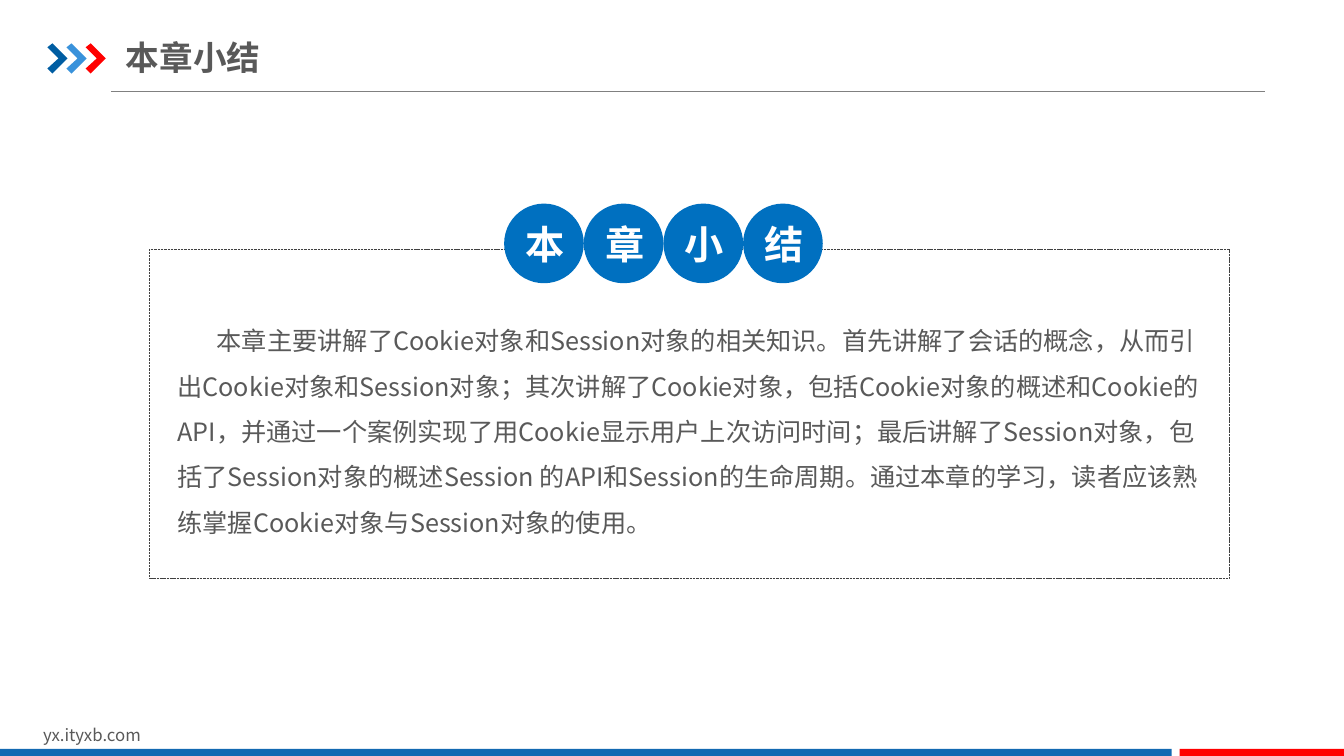
from dataclasses import dataclass

from lxml.etree import SubElement
from pptx import Presentation
from pptx.dml.color import RGBColor
from pptx.enum.dml import MSO_LINE
from pptx.enum.shapes import MSO_CONNECTOR as Connector, MSO_SHAPE as Preset
from pptx.enum.text import MSO_ANCHOR as Anchor, MSO_AUTO_SIZE as AutoSize, PP_ALIGN as Align
from pptx.oxml.ns import qn
from pptx.util import Inches, Pt


@dataclass(frozen=True)
class Theme:
    font: str = "Noto Sans CJK SC"
    text: str = "595959"
    white: str = "FFFFFF"
    rule: str = "808080"
    frame: str = "404040"
    circle: str = "0070C0"
    bar: str = "1369B2"
    red: str = "FF0000"
    chevrons: tuple = ("005DA2", "3992DB", "FF0000")
    footer_size: int = 12
    body_size: int = 18
    title_size: int = 24
    circle_size: int = 28


THEME = Theme()
TITLE = "本章小结"
SUMMARY = (
    "本章主要讲解了Cookie对象和Session对象的相关知识。首先讲解了会话的概念，"
    "从而引出Cookie对象和Session对象；其次讲解了Cookie对象，包括Cookie对象的概述和"
    "Cookie的API，并通过一个案例实现了用Cookie显示用户上次访问时间；最后讲解了"
    "Session对象，包括了Session对象的概述Session 的API和Session的生命周期。"
    "通过本章的学习，读者应该熟练掌握Cookie对象与Session对象的使用。"
)


def apply_format(target, values):
    for name, value in values.items():
        setattr(target, name, value)


def write_text(shape, text, size, color=THEME.text, bold=False, frame=None, layout=None):
    apply_format(shape.text_frame, {"word_wrap": True, **(frame or {})})
    paragraph = shape.text_frame.paragraphs[0]
    apply_format(paragraph, layout or {})
    run = paragraph.add_run()
    run.text = text
    apply_format(run.font, {"name": THEME.font, "size": Pt(size), "bold": bold})
    run.font.color.rgb = RGBColor.from_string(color)
    SubElement(run.font._element, qn("a:ea"), typeface=THEME.font)
    return paragraph


def add_text(slide, box, *content, **options):
    textbox = slide.shapes.add_textbox(*map(Inches, box))
    return write_text(textbox, *content, **options)


def paint(shape, color):
    shape.shadow.inherit = False
    shape.fill.solid()
    shape.fill.fore_color.rgb = RGBColor.from_string(color)
    shape.line.fill.background()


def add_solid(slide, preset, box, color):
    shape = slide.shapes.add_shape(preset, *map(Inches, box))
    paint(shape, color)
    return shape


def add_chevron(slide, left, top, color):
    outline = [(0, 4), (5, 0), (20, 15), (5, 30), (0, 25), (11, 15)]
    builder = slide.shapes.build_freeform(*outline[0], scale=Inches(0.01))
    builder.add_line_segments(outline[1:], close=True)
    paint(builder.convert_to_shape(Inches(left), Inches(top)), color)


def add_header(slide, left, top, width):
    rule_y = top + 0.62
    rule = slide.shapes.add_connector(
        Connector.STRAIGHT,
        *map(Inches, (left + 0.63, rule_y, left + width, rule_y)),
    )
    rule.line.color.rgb = RGBColor.from_string(THEME.rule)
    rule.line.width = Pt(0.5)
    SubElement(rule._element.spPr, qn("a:effectLst"))
    for index, color in enumerate(THEME.chevrons):
        add_chevron(slide, left + index * 0.19, top + 0.14, color)
    add_text(
        slide, (left + 0.78, top, 4.26, 0.55), TITLE, THEME.title_size, bold=True,
        frame={"vertical_anchor": Anchor.MIDDLE, "margin_left": 0, "margin_right": 0,
               "margin_top": Inches(0.07), "margin_bottom": Inches(0.07)},
    )


def add_footer(slide, top, width):
    add_text(slide, (0.33, top, 3.18, 0.3), "yx.ityxb.com", THEME.footer_size,
             frame={"auto_size": AutoSize.SHAPE_TO_FIT_TEXT})
    bar_top, red_width, gap = top + 0.29, 1.63, 0.08
    red_left = width - red_width
    add_solid(slide, Preset.RECTANGLE, (0, bar_top, red_left - gap, 0.09), THEME.bar)
    add_solid(slide, Preset.RECTANGLE, (red_left, bar_top, red_width, 0.09), THEME.red)


def add_summary(slide, left, top, width, height):
    frame = slide.shapes.add_shape(
        Preset.ROUNDED_RECTANGLE, *map(Inches, (left, top, width, height)))
    frame.adjustments[0] = 0
    frame.shadow.inherit = False
    frame.fill.background()
    frame.line.color.rgb = RGBColor.from_string(THEME.frame)
    apply_format(frame.line, {"width": Pt(0.25), "dash_style": MSO_LINE.SQUARE_DOT})

    diameter = 0.79
    for index, character in enumerate(TITLE):
        circle = add_solid(
            slide, Preset.OVAL,
            (left + 3.52 + index * diameter, top - 0.45, diameter, diameter), THEME.circle)
        write_text(circle, character, THEME.circle_size, THEME.white, bold=True,
                   frame={"vertical_anchor": Anchor.MIDDLE},
                   layout={"alignment": Align.CENTER})

    paragraph = add_text(
        slide, (left + 0.15, top + 0.54, width - 0.32, 2.41), SUMMARY, THEME.body_size,
        frame={"auto_size": AutoSize.SHAPE_TO_FIT_TEXT,
               "margin_left": Inches(0.13), "margin_right": Inches(0.13),
               "margin_top": Inches(0.07), "margin_bottom": Inches(0.07)},
        layout={"line_spacing": 1.5},
    )
    paragraph._p.get_or_add_pPr().set("indent", str(Inches(0.39)))


def main():
    presentation = Presentation()
    apply_format(presentation, {"slide_width": Inches(13.33), "slide_height": Inches(7.5)})
    slide = presentation.slides.add_slide(presentation.slide_layouts[6])
    add_header(slide, 0.47, 0.29, 12.08)
    add_footer(slide, 7.14, 13.33)
    add_summary(slide, 1.48, 2.47, 10.71, 3.27)
    presentation.save("out.pptx")


if __name__ == "__main__":
    main()
